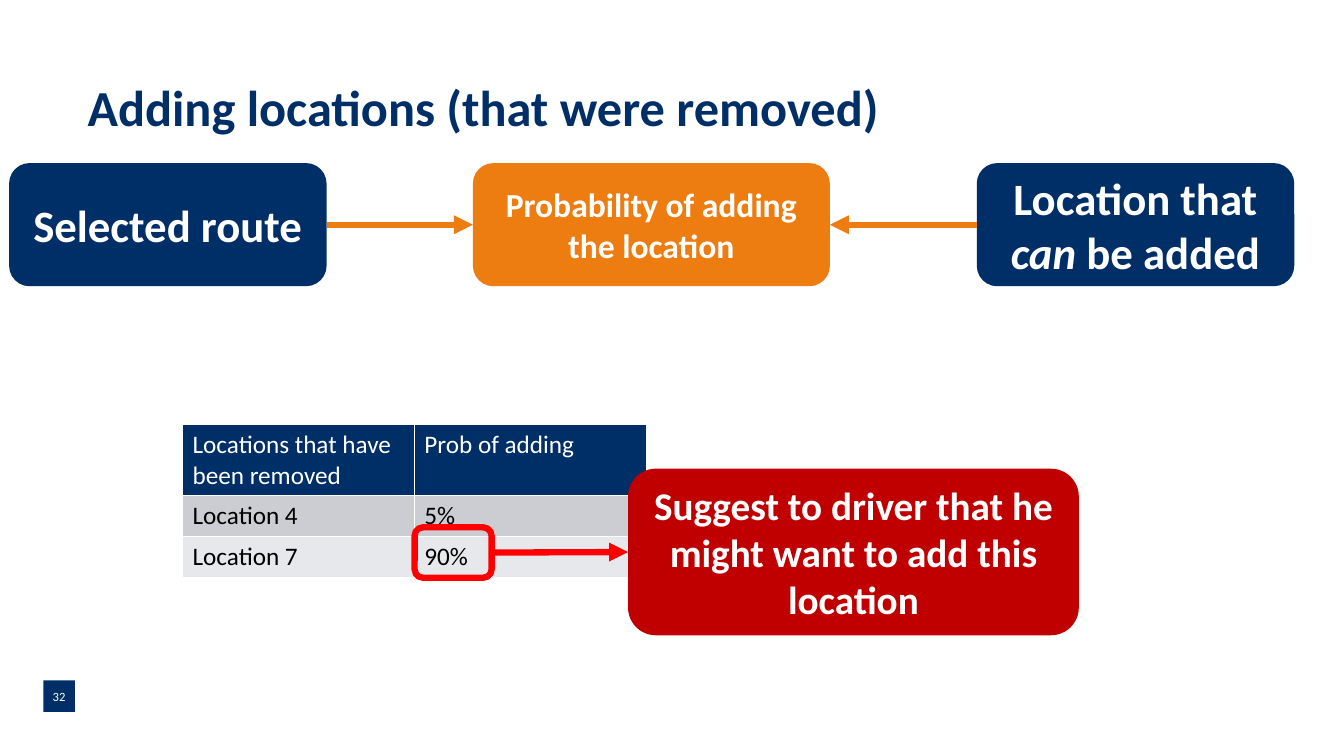
from pptx import Presentation
from pptx.dml.color import RGBColor
from pptx.enum.shapes import MSO_CONNECTOR, MSO_SHAPE
from pptx.enum.text import MSO_ANCHOR, PP_ALIGN
from pptx.oxml import parse_xml
from pptx.oxml.ns import nsdecls
from pptx.util import Pt

NAVY = RGBColor(0x00, 0x2E, 0x67)
ORANGE = RGBColor(0xEE, 0x7D, 0x11)
DARK_RED = RGBColor(0xC0, 0x00, 0x00)
RED = RGBColor(0xFF, 0x00, 0x00)
WHITE = RGBColor(0xFF, 0xFF, 0xFF)
BLACK = RGBColor(0x00, 0x00, 0x00)
HEADER_GREY = RGBColor(0xCC, 0xCD, 0xD3)
LIGHT_GREY = RGBColor(0xE7, 0xE8, 0xEB)


def write(frame, text, size=18, color=WHITE, bold=False, align=PP_ALIGN.CENTER,
          margin=0, anchor=MSO_ANCHOR.MIDDLE, spacing=None, italic=None):
    """Fill a text frame; the word given as italic is slanted."""
    frame.word_wrap = True
    frame.vertical_anchor = anchor
    frame.margin_left = frame.margin_right = Pt(margin)
    frame.margin_top = frame.margin_bottom = Pt(margin)
    paragraph = frame.paragraphs[0]
    paragraph.alignment = align
    if spacing:
        paragraph.line_spacing = spacing
    before, word, after = text.partition(italic) if italic else (text, "", "")
    for part in filter(None, (before, word, after)):
        run = paragraph.add_run()
        run.text = part
        font = run.font
        font.name, font.size, font.bold = "Calibri", Pt(size), bold
        font.italic = part == italic
        font.color.rgb = color


def add_box(left, top, width, height, fill=None, kind=MSO_SHAPE.ROUNDED_RECTANGLE):
    box = slide.shapes.add_shape(kind, Pt(left), Pt(top), Pt(width), Pt(height))
    box.shadow.inherit = False
    box.line.fill.background()
    if fill is None:
        box.fill.background()
    else:
        box.fill.solid()
        box.fill.fore_color.rgb = fill
    return box


prs = Presentation()
prs.slide_width, prs.slide_height = Pt(960), Pt(540)
slide = prs.slides.add_slide(prs.slide_layouts[6])

# Title and page number
title = slide.shapes.add_textbox(Pt(62.6), Pt(62.6), Pt(835), Pt(33))
write(title.text_frame, "Adding locations (that were removed)", size=36, color=NAVY,
      bold=True, align=PP_ALIGN.LEFT, spacing=0.9)
page_number = add_box(31, 486, 22.5, 22.5, NAVY, MSO_SHAPE.RECTANGLE)
write(page_number.text_frame, "32", size=9)

# Route, probability and location
flow_top, flow_height = 116.5, 88
route = add_box(6.5, flow_top, 226.8, flow_height, NAVY)
write(route.text_frame, "Selected route", size=32, bold=True, margin=11.5)
location = add_box(697.7, flow_top, 226.8, flow_height, NAVY)
write(location.text_frame, "Location that can be added", size=32, bold=True,
      margin=11.5, italic="can")
probability = add_box(337.8, flow_top, 255, flow_height, ORANGE)
write(probability.text_frame, "Probability of adding the location", size=24,
      bold=True, margin=11.5)

# Table of removed locations
rows = [
    (("Locations that have been removed", "Prob of adding"), NAVY, WHITE, 50.5),
    (("Location 4", "5%"), HEADER_GREY, BLACK, 29.2),
    (("Location 7", "90%"), LIGHT_GREY, BLACK, 29.2),
]
removed = slide.shapes.add_table(len(rows), 2, Pt(130.4), Pt(303.4), Pt(331.2), Pt(109)).table
for row, (texts, fill, color, height) in enumerate(rows):
    removed.rows[row].height = Pt(height)
    for column, text in enumerate(texts):
        cell = removed.cell(row, column)
        write(cell.text_frame, text, color=color, align=PP_ALIGN.LEFT)
        cell.vertical_anchor = MSO_ANCHOR.TOP
        cell.margin_left = cell.margin_right = Pt(7.2)
        cell.margin_top = cell.margin_bottom = Pt(3.6)
        cell.fill.solid()
        cell.fill.fore_color.rgb = fill
        for place, side in enumerate("LRTB"):
            cell._tc.get_or_add_tcPr().insert(place, parse_xml(
                f'<a:ln{side} {nsdecls("a")} w="{Pt(1)}"><a:solidFill>'
                f'<a:srgbClr val="{WHITE}"/></a:solidFill></a:ln{side}>'))

# Highlighted probability and the suggestion
highlight = add_box(296.2, 376.7, 55, 36)
highlight.line.color.rgb = RED
highlight.line.width = Pt(4.5)
suggestion = add_box(448.6, 334.8, 322, 119, DARK_RED)
write(suggestion.text_frame, "Suggest to driver that he might want to add this location",
      size=28, bold=True, margin=11.5)

# Arrows: start, side, end, side (1 left, 3 right)
for start, start_side, end, end_side, color in [
    (route, 3, probability, 1, ORANGE),
    (location, 1, probability, 3, ORANGE),
    (highlight, 3, suggestion, 1, RED),
]:
    arrow = slide.shapes.add_connector(MSO_CONNECTOR.STRAIGHT, 0, 0, 0, 0)
    arrow.begin_connect(start, start_side)
    arrow.end_connect(end, end_side)
    arrow.line.color.rgb = color
    arrow.line.width = Pt(4.5)
    arrow.line._get_or_add_ln().append(
        parse_xml(f'<a:tailEnd {nsdecls("a")} type="triangle"/>'))
    arrow._element.spPr.append(parse_xml(f'<a:effectLst {nsdecls("a")}/>'))

prs.save("out.pptx")
